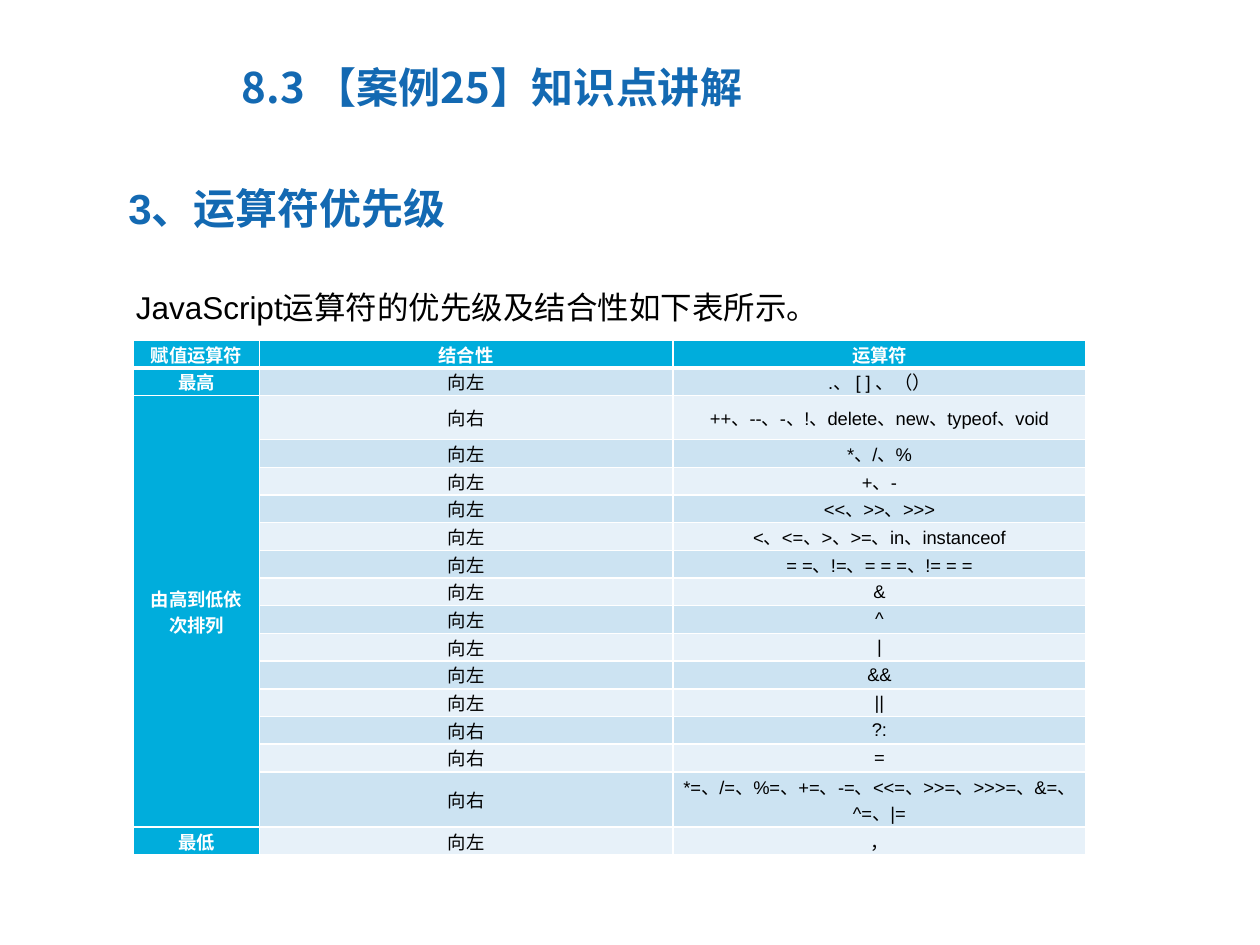
"""Build a slide that lists the precedence of JavaScript operators."""
from dataclasses import dataclass

from lxml import etree
from pptx import Presentation
from pptx import util as u
from pptx.dml.color import RGBColor
from pptx.enum import text
from pptx.oxml.ns import qn

WIDTH, HEIGHT = u.Inches(10), u.Inches(7.5)
BLUE = RGBColor(0x13, 0x69, 0xB2)
CYAN = RGBColor(0x00, 0xAD, 0xDC)
DARK_BAND = RGBColor(0xCC, 0xE3, 0xF2)
LIGHT_BAND = RGBColor(0xE7, 0xF1, 0xF9)
BLACK = RGBColor(0, 0, 0)
WHITE = RGBColor(0xFF, 0xFF, 0xFF)
LATIN, CHINESE = "Arial", "Noto Sans CJK SC"
ROW_HEIGHT = u.Inches(0.22)
COLUMN_WIDTHS = (1, 3.28, 3.28)
HEADER = ("赋值运算符", "结合性", "运算符")


@dataclass(frozen=True)
class Caption:
    """A line of text whose place is given in shares of the slide."""
    wording: str
    left: float
    top: float
    width: float
    height: float
    size: float = 24
    color: RGBColor = BLUE
    bold: bool = True
    font: str = LATIN
    indent: float = 0.5
    spacing: float = 1.0


@dataclass(frozen=True)
class Operators:
    """One precedence level, with the number of grid rows its height takes."""
    direction: str
    symbols: str
    label: str = ""
    height: int = 1


CAPTIONS = (
    Caption("8.3 【案例25】知识点讲解", 0.182, 0.065, 0.849, 0.105, font=CHINESE, indent=0),
    Caption("JavaScript运算符的优先级及结合性如下表所示。", 0.048, 0.285, 0.9, 0.217,
            size=18, color=BLACK, bold=False, spacing=1.5),
    Caption("3、运算符优先级", 0.042, 0.193, 0.843, 0.067),
)

LEVELS = (
    Operators("向左", ".、 [ ] 、（）", "最高"),
    Operators("向右", "++、--、-、!、delete、new、typeof、void", "由高到低依次排列"),
    Operators("向左", "*、/、%"),
    Operators("向左", "+、-"),
    Operators("向左", "<<、>>、>>>"),
    Operators("向左", "<、<=、>、>=、in、instanceof"),
    Operators("向左", "= =、!=、= = =、!= = ="),
    Operators("向左", "&"),
    Operators("向左", "^"),
    Operators("向左", "|"),
    Operators("向左", "&&"),
    Operators("向左", "||"),
    Operators("向右", "?:"),
    Operators("向右", "="),
    Operators("向右", "*=、/=、%=、+=、-=、<<=、>>=、>>>=、&=、^=、|=", height=2),
    Operators("向左", "，", "最低"),
)


def write(frame, wording: str, *, size: float, color: RGBColor, bold: bool,
          font: str = LATIN, align=text.PP_ALIGN.LEFT, indent: float = 0, spacing: float = 1.0):
    """Put formatted text in the first paragraph of a frame."""
    para = frame.paragraphs[0]
    para.alignment = align
    para.line_spacing = spacing
    if indent:
        properties = para._p.get_or_add_pPr()
        properties.set("marL", str(u.Inches(indent)))
        properties.set("indent", "0")
    span = para.add_run()
    span.text = wording
    span.font.size = u.Pt(size)
    span.font.bold = bold
    span.font.color.rgb = color
    span.font.name = font
    etree.SubElement(span._r.get_or_add_rPr(), qn("a:ea"), typeface=CHINESE)


def draw_caption(page, caption: Caption):
    """Draw one caption."""
    box = page.shapes.add_textbox(
        round(caption.left * WIDTH), round(caption.top * HEIGHT),
        round(caption.width * WIDTH), round(caption.height * HEIGHT))
    frame = box.text_frame
    frame.word_wrap = True
    frame.margin_top = frame.margin_bottom = 0
    write(frame, caption.wording, size=caption.size, color=caption.color, bold=caption.bold,
          font=caption.font, indent=caption.indent, spacing=caption.spacing)


def draw_border(cell, side: str, width: float):
    """Add a white border to one side of a cell."""
    line = etree.SubElement(cell._tc.get_or_add_tcPr(), qn(f"a:ln{side}"), w=str(u.Pt(width)))
    fill = etree.SubElement(line, qn("a:solidFill"))
    etree.SubElement(fill, qn("a:srgbClr"), val=str(WHITE))


def draw_cell(cell, wording: str, fill: RGBColor, *, heading: bool, sides: dict[str, float]):
    """Fill, border and label one table cell."""
    for side, width in sides.items():
        draw_border(cell, side, width)
    cell.fill.solid()
    cell.fill.fore_color.rgb = fill
    cell.vertical_anchor = text.MSO_ANCHOR.MIDDLE
    cell.margin_left = cell.margin_right = u.Inches(0.07)
    cell.margin_top = cell.margin_bottom = 0
    write(cell.text_frame, wording, size=10.5, color=WHITE if heading else BLACK,
          bold=heading, align=text.PP_ALIGN.CENTER)


def draw_table(page):
    """Draw the table of precedence levels."""
    heights = [1] + [level.height for level in LEVELS]
    table = page.shapes.add_table(
        len(heights), len(COLUMN_WIDTHS), round(0.106 * WIDTH), round(0.36 * HEIGHT),
        u.Inches(sum(COLUMN_WIDTHS)), ROW_HEIGHT * sum(heights)).table
    table.first_row = table.horz_banding = False
    for column, width in zip(table.columns, COLUMN_WIDTHS):
        column.width = u.Inches(width)
    for row, height in zip(table.rows, heights):
        row.height = ROW_HEIGHT * height
    rows = [HEADER] + [(level.label, level.direction, level.symbols) for level in LEVELS]
    for row, wordings in enumerate(rows):
        band = DARK_BAND if row % 2 else LIGHT_BAND
        top, bottom = (3 if row == 1 else 1), (3 if row == 0 else 1)
        for column, wording in enumerate(wordings):
            heading = row == 0 or column == 0
            draw_cell(table.cell(row, column), wording, CYAN if heading else band,
                      heading=heading, sides={"L": 1, "R": 1, "T": top, "B": bottom})
    table.cell(2, 0).merge(table.cell(len(rows) - 2, 0))


def main():
    """Build and save the deck."""
    deck = Presentation()
    deck.slide_width, deck.slide_height = WIDTH, HEIGHT
    page = deck.slides.add_slide(deck.slide_layouts[6])
    for caption in CAPTIONS:
        draw_caption(page, caption)
    draw_table(page)
    deck.save("out.pptx")


if __name__ == "__main__":
    main()
